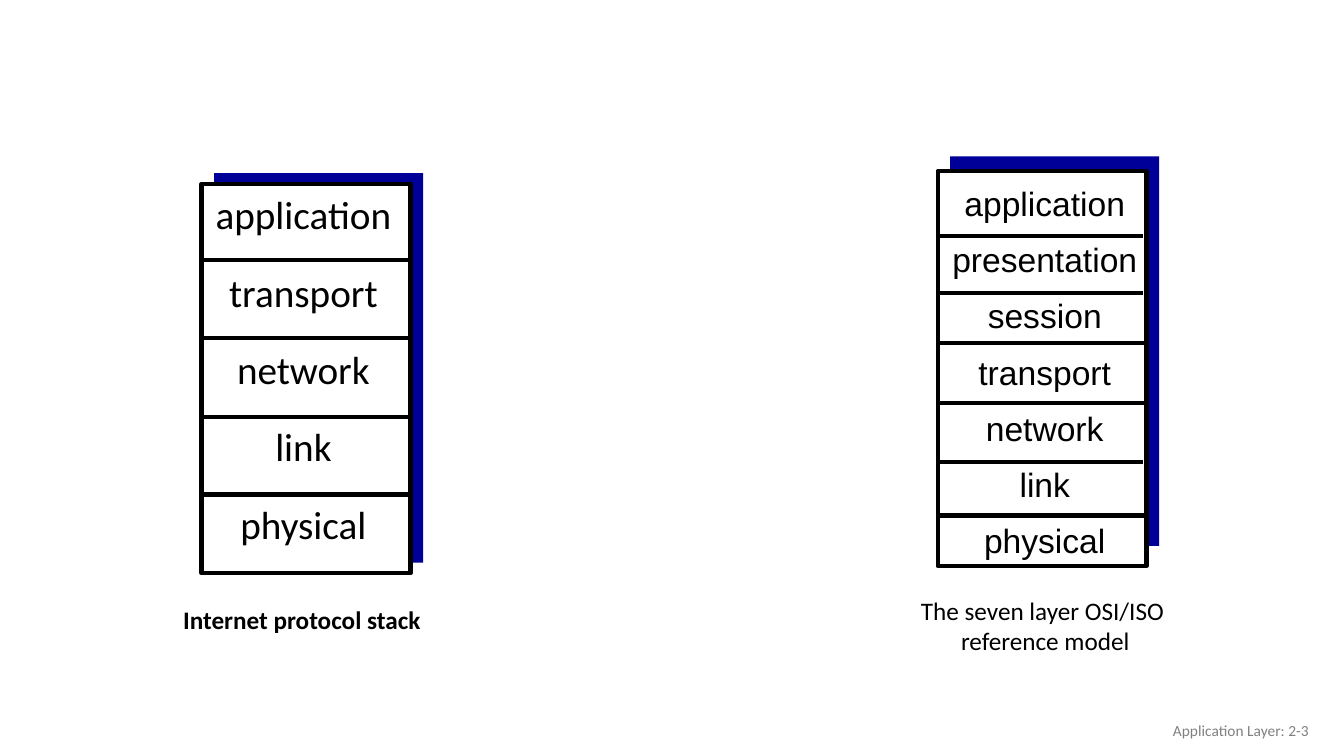
from lxml import etree
from pptx import Presentation
from pptx.dml.color import RGBColor
from pptx.enum.shapes import MSO_CONNECTOR, MSO_SHAPE
from pptx.enum.text import MSO_ANCHOR, MSO_AUTO_SIZE, PP_ALIGN
from pptx.oxml.ns import qn
from pptx.util import Emu, Pt

BLACK = RGBColor(0x00, 0x00, 0x00)
WHITE = RGBColor(0xFF, 0xFF, 0xFF)
NAVY = RGBColor(0x00, 0x00, 0x99)
GRAY = RGBColor(0x80, 0x80, 0x80)
RECT = MSO_SHAPE.RECTANGLE
STRAIGHT = MSO_CONNECTOR.STRAIGHT
CENTER, RIGHT = PP_ALIGN.CENTER, PP_ALIGN.RIGHT
TOP, MIDDLE = MSO_ANCHOR.TOP, MSO_ANCHOR.MIDDLE
FIT, FIXED = MSO_AUTO_SIZE.SHAPE_TO_FIT_TEXT, MSO_AUTO_SIZE.NONE
TITLE_ONLY = 5
EMU_PER_PX = 9525
LINE_WIDTH = Pt(3)
BODY_FONT, OSI_FONT = "Calibri", "Arial"


def px(*lengths):
    return [Emu(n * EMU_PER_PX) for n in lengths]


class SlideBuilder:
    def __init__(self, prs):
        self.slide = prs.slides.add_slide(prs.slide_layouts[TITLE_ONLY])
        self.shapes = self.slide.shapes

    def start_group(self):
        self.shapes = self.slide.shapes.add_group_shape().shapes

    def end_group(self):
        self.shapes = self.slide.shapes

    def rect(self, box, fill, line=None):
        sp = self.shapes.add_shape(RECT, *px(*box))
        sp.shadow.inherit = False
        sp.fill.solid()
        sp.fill.fore_color.rgb = fill
        if line is None:
            sp.line.fill.background()
        else:
            sp.line.color.rgb = line
            sp.line.width = LINE_WIDTH

    def divider(self, x, y, width):
        cxn = self.shapes.add_connector(STRAIGHT, *px(x, y, x + width, y))
        cxn.line.color.rgb = BLACK
        cxn.line.width = LINE_WIDTH
        etree.SubElement(cxn._element.spPr, qn("a:effectLst"))

    def text(self, box, lines, size, **style):
        self.format_text(self.shapes.add_textbox(*px(*box)), lines, size, **style)

    def title(self, box, text, size, **style):
        sp = self.slide.shapes.title
        sp.left, sp.top, sp.width, sp.height = px(*box)
        self.format_text(sp, [text], size, **style)

    def format_text(self, sp, lines, size, font=BODY_FONT, color=BLACK, bold=False,
                    align=CENTER, anchor=TOP, wrap=False, fit=FIT,
                    spacing=1.0, gap=0):
        tf = sp.text_frame
        tf.text = "\n".join(lines)
        tf.word_wrap = wrap
        tf.auto_size = fit
        tf.vertical_anchor = anchor
        for i, p in enumerate(tf.paragraphs):
            p.alignment = align
            p.line_spacing = spacing
            p.space_before = Pt(gap if i else 0)
            for r in p.runs:
                r.font.name = font
                r.font.size = Pt(size)
                r.font.bold = bold
                r.font.color.rgb = color


def main():
    prs = Presentation()
    prs.slide_width, prs.slide_height = px(1280, 720)
    s = SlideBuilder(prs)

    s.text((968, 677, 288, 38), ["Application Layer: 2-3"], 11, color=GRAY,
           align=RIGHT, anchor=MIDDLE, wrap=True, fit=FIXED)

    # Seven-layer model
    s.rect((905, 149, 199, 371), NAVY)
    s.rect((893, 163, 199, 376), WHITE, BLACK)
    s.text((891, 180, 208, 358),
           ["application", "presentation", "session", "transport",
            "network", "link", "physical"],
           24, font=OSI_FONT, wrap=True, spacing=0.7, gap=20)
    for x, y in ((891, 225), (891, 279), (893, 327), (893, 384), (891, 440), (893, 491)):
        s.divider(x, y, 198)
    s.text((866, 562, 259, 68), ["The seven layer OSI/ISO ", "reference model"], 18)

    # Five-layer stack
    layers = ["application", "transport", "network", "link", "physical"]
    s.start_group()
    s.rect((204, 165, 199, 371), NAVY)
    s.rect((192, 175, 199, 371), WHITE, BLACK)
    s.text((195, 185, 188, 349), layers, 28, spacing=Pt(27.6), gap=27.6)
    for i in range(len(layers) - 1):
        s.divider(191, 248 + i * 149 // 2, 198)
    s.end_group()
    s.title((164, 574, 247, 36), "Internet protocol stack", 18, bold=True,
            anchor=MIDDLE, spacing=0.9)

    prs.save("out.pptx")


if __name__ == "__main__":
    main()
